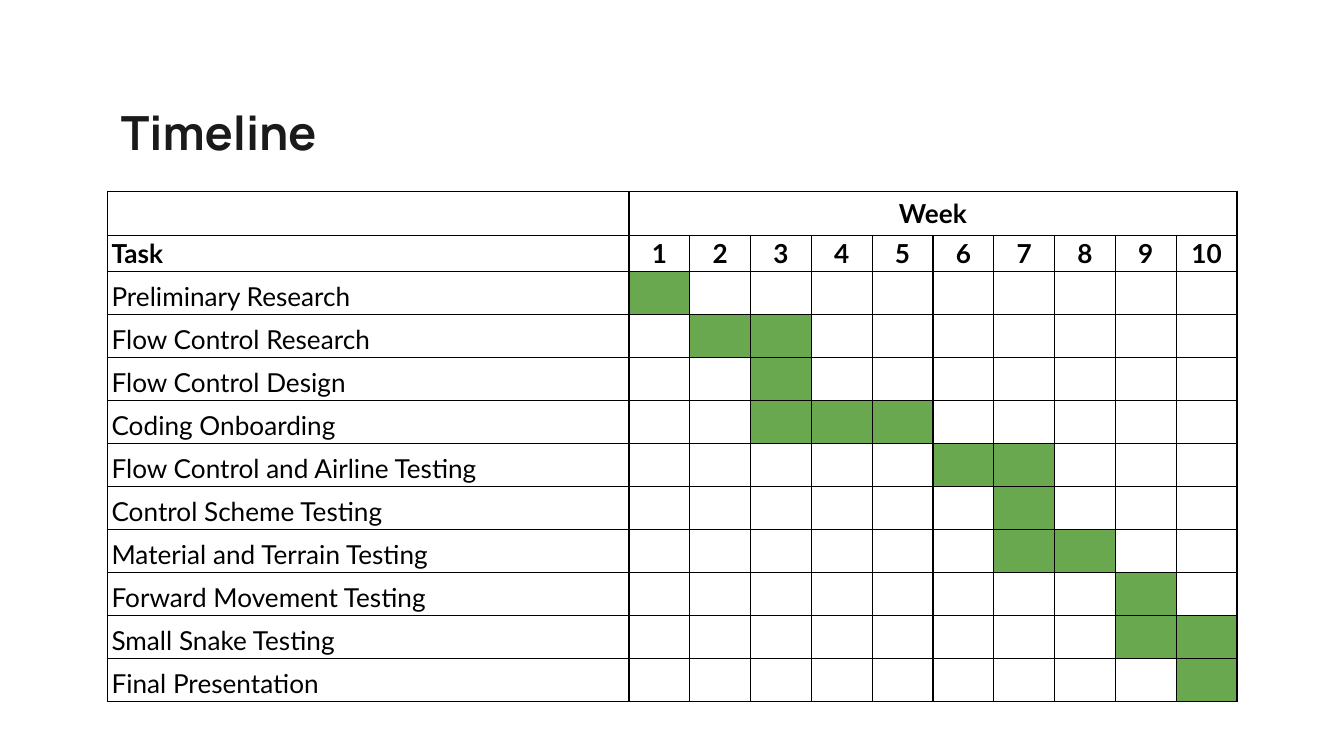
from dataclasses import dataclass

import pptx
import pptx.dml.color
import pptx.enum.text
import pptx.oxml
import pptx.oxml.ns
import pptx.util

PIXELS_PER_INCH = 400
WEEK_COUNT = 10
TASK_WIDTH, WEEK_WIDTH = 1552, 181
HEADER_HEIGHT, NUMBER_HEIGHT, TASK_HEIGHT = 130, 109, 128
BLACK, GREEN, TITLE_COLOR = "000000", "6AA84F", "1A1A1A"
ALIGN = pptx.enum.text.PP_ALIGN
ANCHOR = pptx.enum.text.MSO_ANCHOR


@dataclass(frozen=True)
class Task:
    name: str
    first_week: int
    last_week: int


TASKS = [
    Task("Preliminary Research", 1, 1),
    Task("Flow Control Research", 2, 3),
    Task("Flow Control Design", 3, 3),
    Task("Coding Onboarding", 3, 5),
    Task("Flow Control and Airline Testing", 6, 7),
    Task("Control Scheme Testing", 7, 7),
    Task("Material and Terrain Testing", 7, 8),
    Task("Forward Movement Testing", 9, 9),
    Task("Small Snake Testing", 9, 10),
    Task("Final Presentation", 10, 10),
]


def px(length: int) -> int:
    return pptx.util.Emu(length * 914400 // PIXELS_PER_INCH)


def color(value: str) -> pptx.dml.color.RGBColor:
    return pptx.dml.color.RGBColor.from_string(value)


def format_runs(paragraph, font: str, size: float, value: str, bold: bool) -> None:
    for run in paragraph.runs:
        run.font.name = font
        run.font.size = pptx.util.Pt(size)
        run.font.bold = bold
        run.font.color.rgb = color(value)


def add_title(slide, text: str) -> None:
    title = slide.shapes.title
    title.left, title.top = px(320), px(268)
    title.width, title.height = px(3364), px(236)
    text_frame = title.text_frame
    text_frame.text = text
    text_frame.word_wrap = True
    text_frame.auto_size = pptx.enum.text.MSO_AUTO_SIZE.NONE
    text_frame.vertical_anchor = ANCHOR.TOP
    text_frame.margin_left = text_frame.margin_right = px(40)
    text_frame.margin_top = text_frame.margin_bottom = px(40)
    paragraph = text_frame.paragraphs[0]
    paragraph.alignment = ALIGN.LEFT
    paragraph.line_spacing = 1.0
    format_runs(paragraph, "Manrope", 25.2, TITLE_COLOR, True)


def clear_cell(cell) -> None:
    cell.margin_left = cell.margin_right = px(12)
    cell.margin_top = cell.margin_bottom = 0
    properties = cell._tc.get_or_add_tcPr()
    for side in ("lnL", "lnR", "lnT", "lnB"):
        properties.append(pptx.oxml.parse_xml(
            f'<a:{side} {pptx.oxml.ns.nsdecls("a")} w="{pptx.util.Pt(0.75)}">'
            f'<a:solidFill><a:srgbClr val="{BLACK}"/></a:solidFill></a:{side}>'
        ))
    cell.fill.background()


def write_cell(cell, text: str, bold: bool, centered: bool) -> None:
    cell.margin_top = cell.margin_bottom = px(7)
    cell.vertical_anchor = ANCHOR.MIDDLE if centered else ANCHOR.BOTTOM
    cell.text_frame.text = text
    paragraph = cell.text_frame.paragraphs[0]
    paragraph.alignment = ALIGN.CENTER if centered else ALIGN.LEFT
    paragraph.space_after = pptx.util.Pt(1)
    format_runs(paragraph, "Lato", 14, BLACK, bold)


def add_timeline(slide, tasks: list[Task]) -> None:
    widths = [TASK_WIDTH] + [WEEK_WIDTH] * WEEK_COUNT
    heights = [HEADER_HEIGHT, NUMBER_HEIGHT] + [TASK_HEIGHT] * len(tasks)
    table = slide.shapes.add_table(
        len(heights), len(widths), px(320), px(570), px(sum(widths)), px(sum(heights))
    ).table
    table.first_row = False
    table.horz_banding = False
    for column, width in zip(table.columns, widths):
        column.width = px(width)
    for row, height in zip(table.rows, heights):
        row.height = px(height)
    for cell in table.iter_cells():
        clear_cell(cell)

    table.cell(0, 1).merge(table.cell(0, WEEK_COUNT))
    write_cell(table.cell(0, 1), "Week", True, True)
    write_cell(table.cell(1, 0), "Task", True, False)
    for week in range(1, WEEK_COUNT + 1):
        write_cell(table.cell(1, week), str(week), True, True)
    for row_index, task in enumerate(tasks, start=2):
        write_cell(table.cell(row_index, 0), task.name, False, False)
        for week in range(task.first_week, task.last_week + 1):
            fill = table.cell(row_index, week).fill
            fill.solid()
            fill.fore_color.rgb = color(GREEN)


def main() -> None:
    presentation = pptx.Presentation()
    presentation.slide_width, presentation.slide_height = px(4000), px(2250)
    slide = presentation.slides.add_slide(presentation.slide_layouts[5])
    add_timeline(slide, TASKS)
    add_title(slide, "Timeline")
    presentation.save("out.pptx")


if __name__ == "__main__":
    main()
